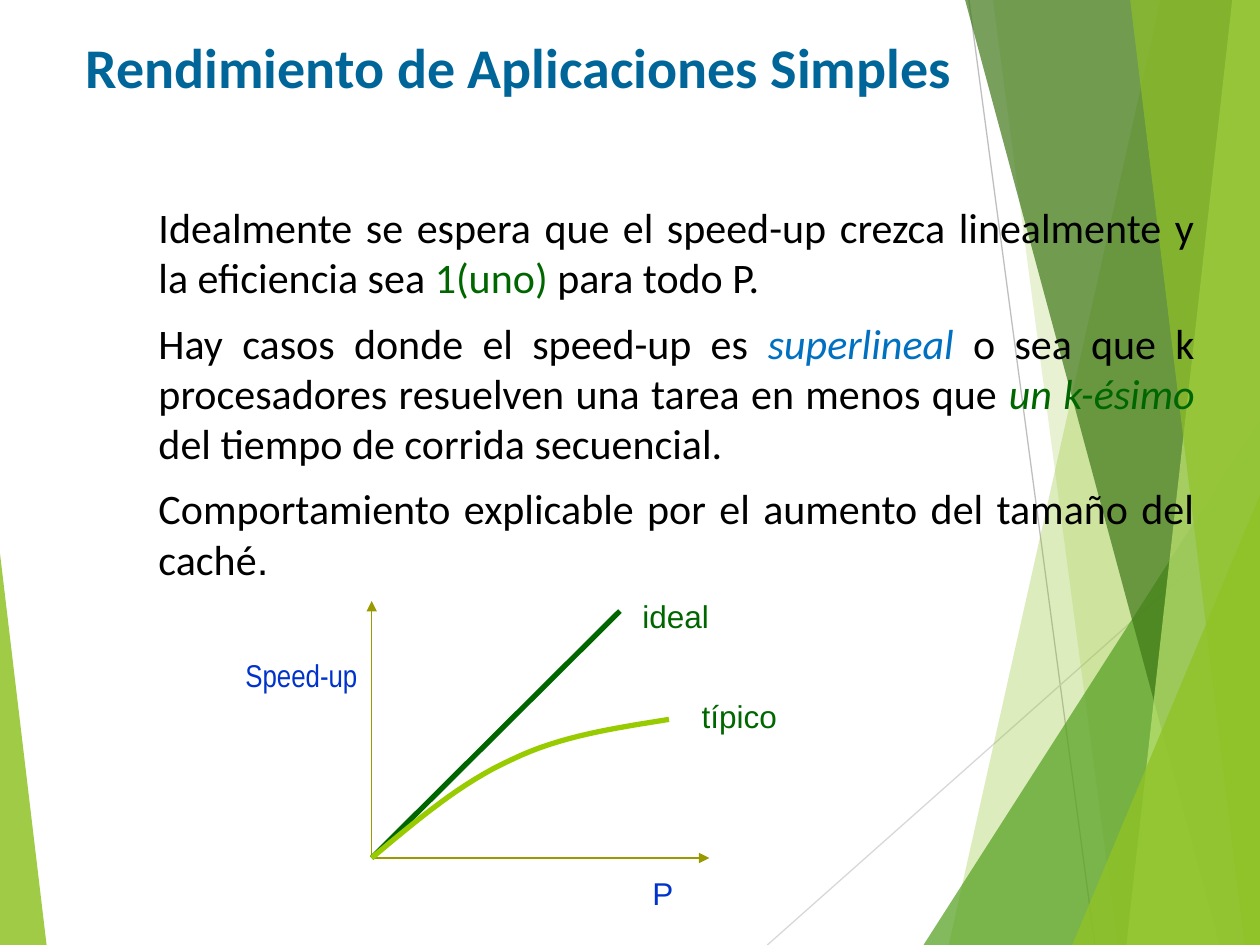
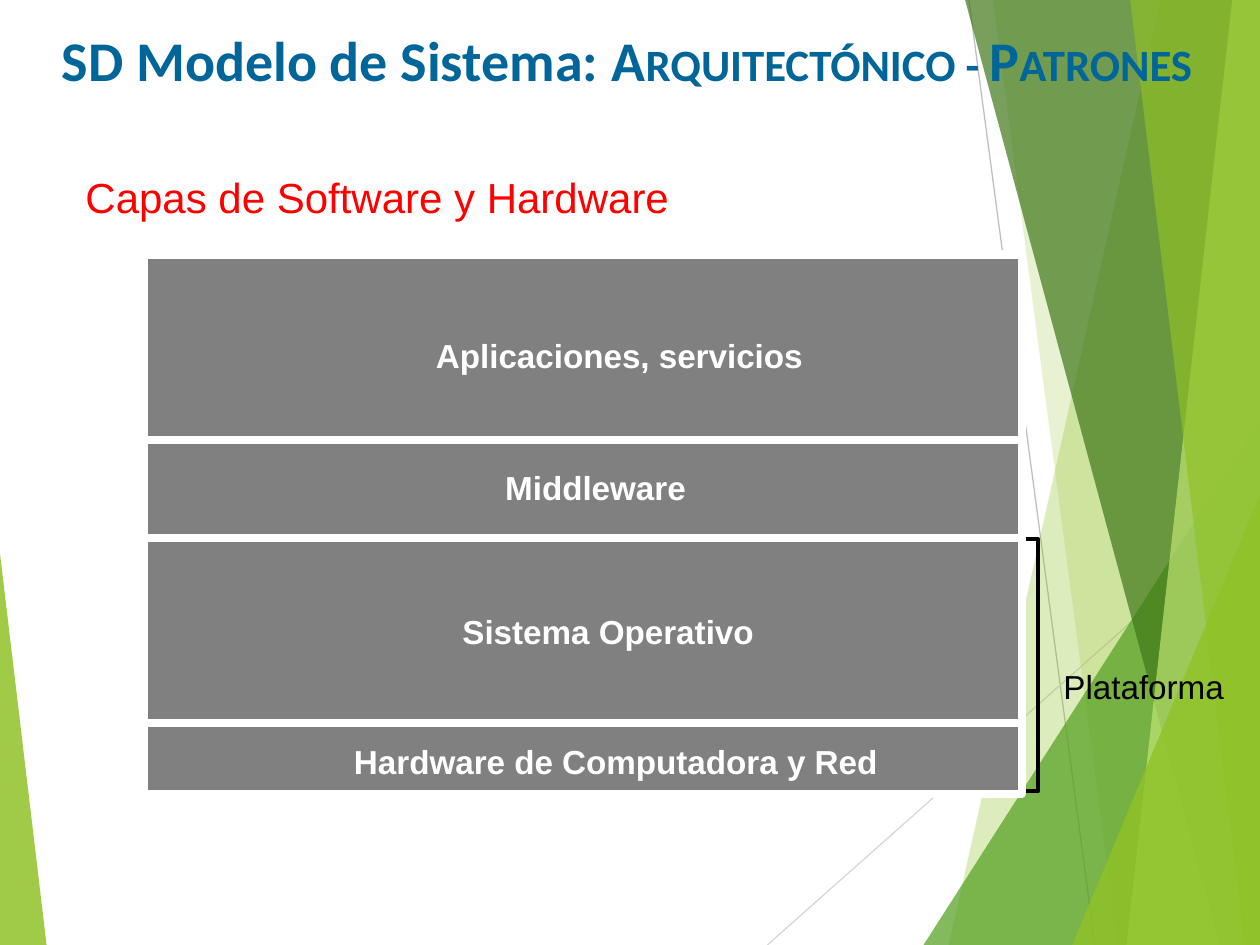
from dataclasses import dataclass
from itertools import accumulate

from lxml.etree import SubElement
from pptx import Presentation
from pptx.dml.color import RGBColor
from pptx.enum.shapes import MSO_CONNECTOR as Connector, MSO_SHAPE as Shape
from pptx.enum.text import MSO_ANCHOR as Anchor, MSO_AUTO_SIZE as AutoSize, PP_ALIGN as Align
from pptx.oxml.ns import qn
from pptx.util import Inches, Pt


@dataclass(frozen=True)
class Theme:
    """Colours, fonts and type sizes shared by the slides."""
    title: str = "006699"
    ink: str = "000000"
    paper: str = "FFFFFF"
    green: str = "006600"
    blue: str = "0070C0"
    axis: str = "999900"
    axis_name: str = "0033CC"
    curve: str = "99CC00"
    layer: str = "808080"
    heading: str = "FF0000"
    leaf: str = "90C226"
    leaf_mid: str = "54A021"
    leaf_dark: str = "3F7818"
    leaf_pale: str = "BFE471"
    head_font: str = "Calibri"
    label_font: str = "Arial"
    narrow_font: str = "Arial Narrow"
    title_size: int = 32
    body_size: int = 24
    label_size: int = 18
    layer_size: int = 19


THEME = Theme()
WIDTH, HEIGHT = 10, 7.5

RAYS = [((7.69, 0), (8.69, HEIGHT), "BFBFBF"), ((WIDTH, 4.03), (6.09, HEIGHT), "D8D8D8")]
BANDS = [
    ("band", 9.21, 7.53, THEME.leaf, 30),
    ("band", 7.88, 8.87, THEME.leaf, 20),
    ("peak", (7.33, 3.33, 2.67), 1, THEME.leaf_mid, 72),
    ("band", 7.66, 9.68, THEME.leaf_dark, 70),
    ("band", 9.78, 8.94, THEME.leaf_pale, 70),
    ("band", 8.97, 9.88, THEME.leaf, 65),
    ("peak", (8.51, 3.93, 1.49), 1, THEME.leaf, 80),
    ("peak", (0, 4.39, 0.37), 0, THEME.leaf, 85),
]

SPEEDUP_TITLE = [("Rendimiento de Aplicaciones Simples", {})]
SPEEDUP_BODY = [
    [("Idealmente se espera que el speed-up crezca linealmente y la eficiencia sea ", {}),
     ("1(uno)", {"color": THEME.green}), (" para todo P.", {})],
    [("Hay casos donde el speed-up es ", {}),
     ("superlineal ", {"color": THEME.blue, "italic": True}),
     ("o sea que k procesadores resuelven una tarea en menos que ", {}),
     ("un k-ésimo", {"color": THEME.green, "italic": True}),
     (" del tiempo de corrida secuencial.", {})],
    [("Comportamiento explicable por el aumento del tamaño del caché", {}),
     (".", {"font": THEME.label_font})],
]
ORIGIN = (2.95, 6.81)
PLOT_LINES = [
    ((2.95, 4.77), THEME.axis, 0.75, True),
    ((5.63, 6.81), THEME.axis, 0.75, True),
    ((4.92, 4.85), THEME.green, 3, False),
]
TYPICAL_CURVE = [
    (ORIGIN, (3.31, 6.51), (3.66, 6.21), (4.06, 6.03)),
    ((4.06, 6.03), (4.45, 5.84), (4.88, 5.78), (5.31, 5.71)),
]
PLOT_LABELS = [
    ("Speed-up", (1.85, 5.16, 1.1, 0.4), THEME.axis_name, THEME.narrow_font),
    ("P", (5.08, 6.89, 0.47, 0.4), THEME.axis_name, THEME.label_font),
    ("ideal", (5, 4.69, 0.79, 0.4), THEME.green, THEME.label_font),
    ("típico", (5.47, 5.48, 0.87, 0.4), THEME.green, THEME.label_font),
]

LAYERS_TITLE = [("SD Modelo de Sistema: ", {}),
                ("Arquitectónico - Patrones", {"small_caps": True})]
LAYERS_HEADING = "Capas de Software y Hardware"
STACK_LEFT, STACK_TOP, STACK_WIDTH = 1.14, 2.02, 6.97
LAYERS = [
    (1.47, "Aplicaciones, servicios", (3.46, 2.66, 2.93, 0.32)),
    (0.78, "Middleware", (4.01, 3.71, 1.44, 0.32)),
    (1.47, "Sistema Operativo", (3.67, 4.85, 2.32, 0.32)),
    (0.56, "Hardware de Computadora y Red", (2.81, 5.88, 4.17, 0.32)),
]
PLATFORM_BRACKET = (7.88, 4.28, 0.36, 2)
PLATFORM = ("Plataforma", (8.44, 5.29, 1.28, 0.32))


def inches(values):
    """Convert several lengths at once."""
    return [Inches(value) for value in values]


def write(frame, paragraphs, *, size, font=THEME.head_font, color=THEME.ink, bold=False,
          align=Align.LEFT, indent=0, gap=0, anchor=Anchor.TOP, wrap=True, inset=None):
    """Fill a text frame with paragraphs of (text, overrides) runs."""
    frame.word_wrap, frame.auto_size, frame.vertical_anchor = wrap, AutoSize.NONE, anchor
    if inset is not None:
        frame.margin_left = frame.margin_right = frame.margin_top = frame.margin_bottom = inset
    for index, runs in enumerate(paragraphs):
        paragraph = frame.add_paragraph() if index else frame.paragraphs[0]
        paragraph.alignment = align
        if indent:
            paragraph._p.get_or_add_pPr().set("marL", str(Inches(indent)))
        if index:
            paragraph.space_before = Pt(gap)
        for text, changes in runs:
            run = paragraph.add_run()
            run.text = text
            run.font.size = Pt(size)
            run.font.name = changes.get("font", font)
            run.font.color.rgb = RGBColor.from_string(changes.get("color", color))
            run.font.bold = bold
            run.font.italic = changes.get("italic", False)
            if changes.get("small_caps"):
                run._r.get_or_add_rPr().set("cap", "small")


def add_text(slide, box, paragraphs, **style):
    """Add a text box in the given style."""
    write(slide.shapes.add_textbox(*inches(box)).text_frame, paragraphs, **style)


def paint(shape, fill=None, opacity=100, line=None, width=0):
    """Set the fill, opacity and outline of a shape."""
    shape.shadow.inherit = False
    if fill:
        shape.fill.solid()
        shape.fill.fore_color.rgb = RGBColor.from_string(fill)
        if opacity < 100:
            tint = shape.element.spPr.find(".//" + qn("a:srgbClr"))
            SubElement(tint, qn("a:alpha")).set("val", str(opacity * 1000))
    else:
        shape.fill.background()
    if line:
        shape.line.color.rgb = RGBColor.from_string(line)
        shape.line.width = Pt(width)
    else:
        shape.line.fill.background()
    return shape


def add_line(slide, start, end, color, width=0.75, arrow=False):
    """Draw a straight line, with an arrowhead at its end on request."""
    line = slide.shapes.add_connector(Connector.STRAIGHT, *inches(start + end))
    line.line.color.rgb = RGBColor.from_string(color)
    line.line.width = Pt(width)
    properties = line.element.spPr
    if arrow:
        SubElement(properties.find(qn("a:ln")), qn("a:tailEnd")).set("type", "triangle")
    SubElement(properties, qn("a:effectLst"))
    return line


def add_outline(slide, points, close):
    """Build a freeform through the given points."""
    first, *rest = [inches(point) for point in points]
    builder = slide.shapes.build_freeform(*first)
    builder.add_line_segments(rest, close=close)
    return builder.convert_to_shape()


def bezier(controls, steps=16):
    """Return the points of a cubic curve after its start."""
    weights = [((1 - t) ** 3, 3 * t * (1 - t) ** 2, 3 * t * t * (1 - t), t ** 3)
               for t in (step / steps for step in range(1, steps + 1))]
    return [tuple(sum(w * point[axis] for w, point in zip(weight, controls)) for axis in (0, 1))
            for weight in weights]


def add_backdrop(slide):
    """Draw the shared rays and bands and hand them to the slide's layout."""
    parts = [add_line(slide, *ray) for ray in RAYS]
    for kind, place, end, color, opacity in BANDS:
        if kind == "band":
            corners = [(place, 0), (WIDTH, 0), (WIDTH, HEIGHT), (end, HEIGHT)]
            part = add_outline(slide, corners, close=True)
        else:
            left, top, width = place
            part = slide.shapes.add_shape(Shape.ISOSCELES_TRIANGLE,
                                          *inches((left, top, width, HEIGHT - top)))
            part.adjustments[0] = end
        parts.append(paint(part, color, opacity))
    for part in parts:
        slide.slide_layout.shapes.element.append(part.element)


def add_titled_slide(deck, runs, box):
    """Add a title-only slide with its title in place."""
    slide = deck.slides.add_slide(deck.slide_layouts[5])
    title = slide.shapes.title
    title.left, title.top, title.width, title.height = inches(box)
    write(title.text_frame, [runs], size=THEME.title_size, color=THEME.title, bold=True,
          anchor=Anchor.BOTTOM)
    return slide


def build_speedup(deck):
    """Build the slide on speed-up with its sketch plot."""
    slide = add_titled_slide(deck, SPEEDUP_TITLE, (0.58, 0.21, 9, 0.63))
    add_backdrop(slide)
    add_text(slide, (0.58, 1.55, 9, 4.95), SPEEDUP_BODY, size=THEME.body_size,
             align=Align.JUSTIFY, indent=0.58, gap=8.4)
    for end, color, width, arrow in PLOT_LINES:
        add_line(slide, ORIGIN, end, color, width, arrow)
    points = [ORIGIN] + [point for part in TYPICAL_CURVE for point in bezier(part)]
    paint(add_outline(slide, points, close=False), line=THEME.curve, width=3)
    for label, box, color, font in PLOT_LABELS:
        add_text(slide, box, [[(label, {})]], size=THEME.label_size, color=color, font=font)


def build_layers(deck):
    """Build the slide with the stack of software and hardware layers."""
    slide = add_titled_slide(deck, LAYERS_TITLE, (0.39, 0.22, 9.61, 0.57))
    add_text(slide, (0.58, 1.31, 8.94, 0.83), [[(LAYERS_HEADING, {})]], size=THEME.body_size,
             font=THEME.label_font, color=THEME.heading)
    bracket = slide.shapes.add_shape(Shape.RECTANGLE, *inches(PLATFORM_BRACKET))
    paint(bracket, line=THEME.ink, width=2.38)
    label_style = dict(size=THEME.layer_size, font=THEME.label_font, wrap=False, inset=0)
    tops = accumulate((height for height, *_ in LAYERS), initial=STACK_TOP)
    for top, (height, name, box) in zip(tops, LAYERS):
        layer = slide.shapes.add_shape(Shape.RECTANGLE,
                                       *inches((STACK_LEFT, top, STACK_WIDTH, height)))
        paint(layer, THEME.layer, line=THEME.paper, width=4.63)
        add_text(slide, box, [[(name, {})]], color=THEME.paper, bold=True, **label_style)
    name, box = PLATFORM
    add_text(slide, box, [[(name, {})]], **label_style)


def main():
    """Build and save the presentation."""
    deck = Presentation()
    deck.slide_width, deck.slide_height = inches((WIDTH, HEIGHT))
    build_speedup(deck)
    build_layers(deck)
    deck.save("out.pptx")


if __name__ == "__main__":
    main()
